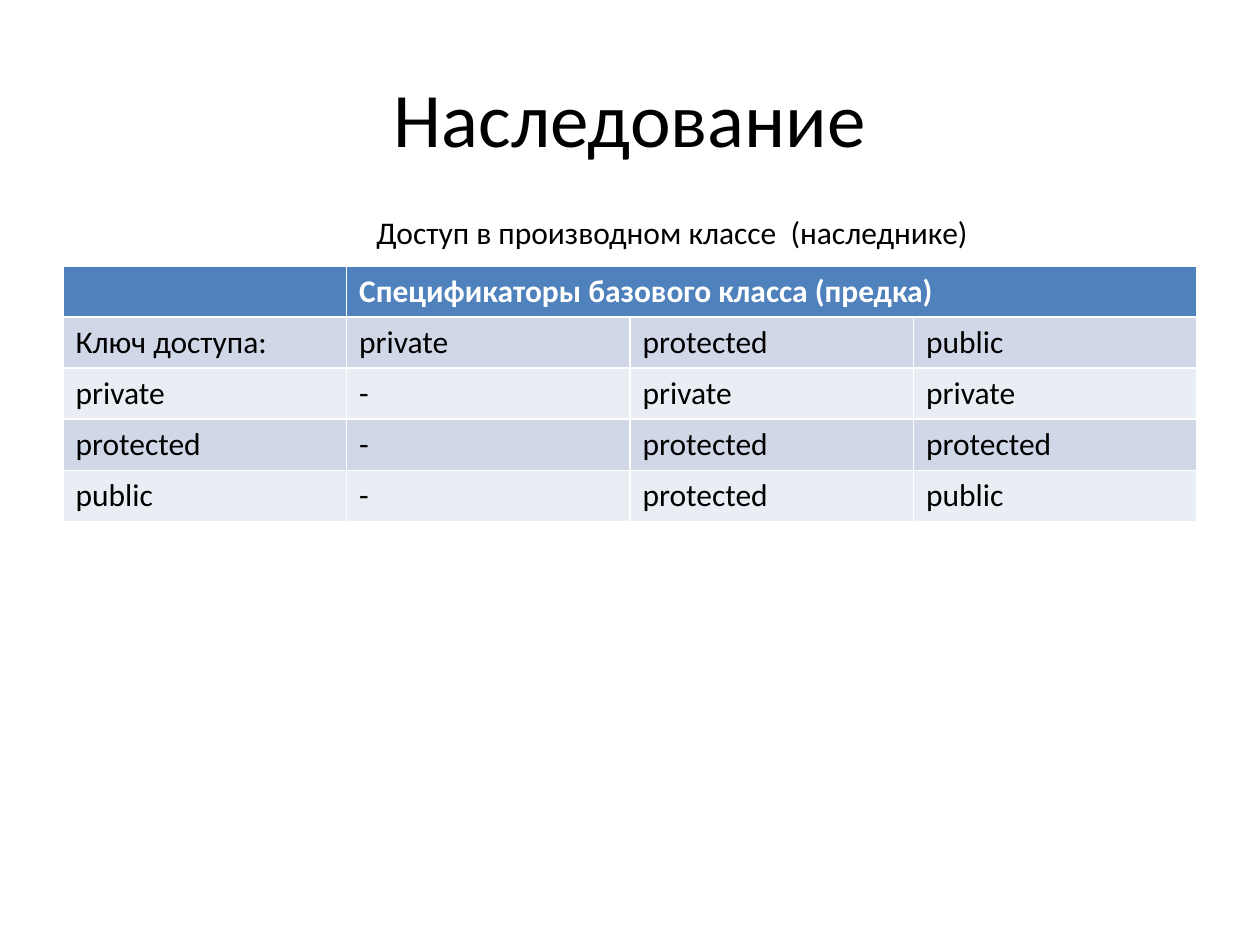
from pptx import Presentation
from pptx.dml.color import RGBColor
from pptx.enum.text import MSO_ANCHOR, PP_ALIGN
from pptx.util import Cm, Pt

CENTER = PP_ALIGN.CENTER
LEFT = PP_ALIGN.LEFT
MIDDLE = MSO_ANCHOR.MIDDLE
TOP = MSO_ANCHOR.TOP
FONT = "Calibri"
COLORS = {
    "text": "000000",
    "header": "4F81BD",
    "header_text": "FFFFFF",
    "odd_row": "D0D8E8",
    "even_row": "E9EDF4",
}
ACCESS_ROWS = [
    ["", "Спецификаторы базового класса (предка)", "", ""],
    ["Ключ доступа:", "private", "protected", "public"],
    ["private", "-", "private", "private"],
    ["protected", "-", "protected", "protected"],
    ["public", "-", "protected", "public"],
]


def style_paragraph(paragraph, size, color, bold=False):
    font = paragraph.font
    font.name = FONT
    font.size = Pt(size)
    font.bold = bold
    font.color.rgb = RGBColor.from_string(COLORS[color])


def add_text(slide, box, text, size, alignment=LEFT, anchor=TOP, wrap=True):
    shape = slide.shapes.add_textbox(*box)
    frame = shape.text_frame
    frame.word_wrap = wrap
    frame.vertical_anchor = anchor
    paragraph = frame.paragraphs[0]
    paragraph.text = text
    paragraph.alignment = alignment
    style_paragraph(paragraph, size, "text")


def add_access_table(slide, box, rows):
    table = slide.shapes.add_table(len(rows), len(rows[0]), *box).table
    for row_index, row in enumerate(rows):
        is_header = row_index == 0
        banding = "odd_row" if row_index % 2 else "even_row"
        fill_color = "header" if is_header else banding
        text_color = "header_text" if is_header else "text"
        for column_index, text in enumerate(row):
            cell = table.cell(row_index, column_index)
            cell.text = text
            cell.fill.solid()
            cell.fill.fore_color.rgb = RGBColor.from_string(COLORS[fill_color])
            style_paragraph(cell.text_frame.paragraphs[0], 18, text_color, is_header)
    table.cell(0, 1).merge(table.cell(0, len(rows[0]) - 1))


def build_inheritance_slide(presentation):
    slide = presentation.slides.add_slide(presentation.slide_layouts[6])
    margin = Cm(1.27)
    width = presentation.slide_width - 2 * margin
    add_text(slide, (margin, Cm(0.76), width, Cm(3.18)),
             "Наследование", 44, CENTER, MIDDLE)
    add_access_table(slide, (margin, Cm(5.36), width, Cm(5.15)), ACCESS_ROWS)
    add_text(slide, (Cm(7.34), Cm(4.17), Cm(12.57), Cm(1.03)),
             "Доступ в производном классе  (наследнике)", 18, wrap=False)


presentation = Presentation()
presentation.slide_width = Cm(25.4)
presentation.slide_height = Cm(19.05)
build_inheritance_slide(presentation)
presentation.save("out.pptx")
